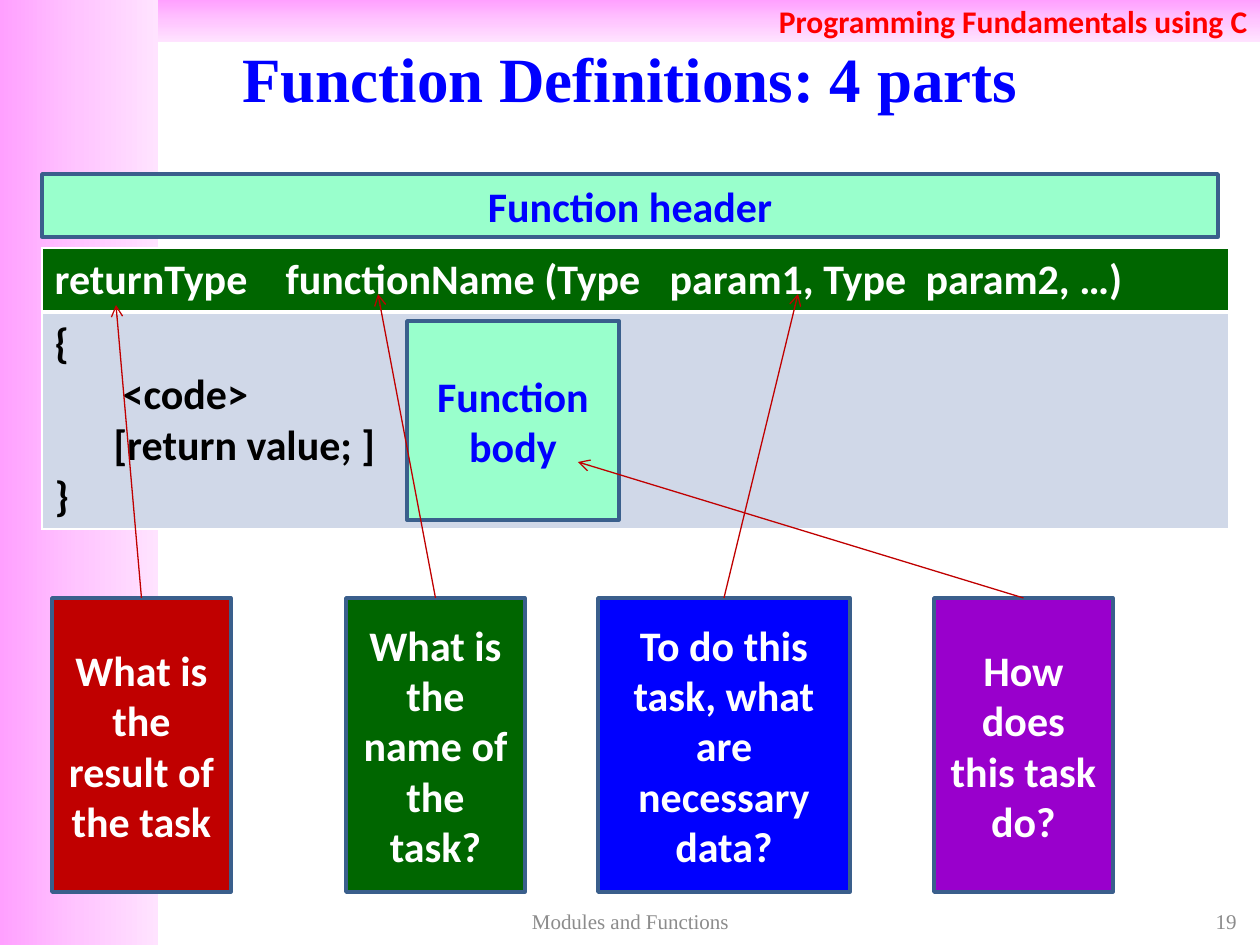
"""Builds the slide that explains the four parts of a function definition."""
from copy import deepcopy
from lxml.etree import SubElement
from pptx import Presentation
from pptx.dml.color import RGBColor
from pptx.enum.shapes import MSO_CONNECTOR, MSO_SHAPE
from pptx.enum.text import MSO_ANCHOR, PP_ALIGN
from pptx.oxml.ns import qn
from pptx.util import Emu, Pt

COLORS = {
    "pink": "FFA0FF", "rose": "FFC5FF", "blush": "FFE3FF",
    "red": "FF0000", "blue": "0000FF", "green": "006600",
    "mint": "99FFCC", "edge": "3A5F8C", "crimson": "C00000",
    "purple": "9900CC", "pale": "D0D8E8", "gray": "8C8C8C",
    "white": "FFFFFF", "black": "000000",
}
SERIF = "Times New Roman"
SANS = "Calibri"
PARTS = [
    (52, 179, "crimson", "What is the result of the task", (116, 305)),
    (346, 179, "green", "What is the name of the task?", (378, 294)),
    (598, 252, "blue", "To do this task, what are necessary data?", (798, 294)),
    (934, 179, "purple", "How does this task do?", (578, 462)),
]
HEAD = "returnType\tfunctionName (Type\tparam1, Type\tparam2, …)"
STOPS = [231, 615, 871]
CODE = [("{", 0), ("<code>", 68), ("[return value; ]", 59), ("}", 0)]


def px(count):
    return Emu(round(count * 914400 / 126))


def rgb(name):
    return RGBColor.from_string(COLORS[name])


def style(para, size, color, font=SANS, bold=True, align=PP_ALIGN.LEFT):
    para.alignment = align
    for run in para.runs:
        run.font.size = Pt(size)
        run.font.name = font
        run.font.bold = bold
        run.font.color.rgb = rgb(color)


def write(shape, text, size, color, **look):
    frame = shape.text_frame
    frame.word_wrap = True
    frame.vertical_anchor = MSO_ANCHOR.MIDDLE
    frame.text = text
    style(frame.paragraphs[0], size, color, **look)


def add_rect(slide, area):
    rect = slide.shapes.add_shape(MSO_SHAPE.RECTANGLE, *map(px, area))
    rect.shadow.inherit = False
    return rect


def add_band(slide, area, angle):
    band = add_rect(slide, area)
    band.line.fill.background()
    band.fill.gradient()
    band.fill.gradient_angle = angle
    first = band._element.spPr.find(".//" + qn("a:gs"))
    first.addnext(deepcopy(first))
    tints = [(0, "pink"), (0.5, "rose"), (1, "blush")]
    for stop, (place, tint) in zip(band.fill.gradient_stops, tints):
        stop.position = place
        stop.color.rgb = rgb(tint)
    return band


def add_box(slide, area, fill, text, color):
    box = add_rect(slide, area)
    box.fill.solid()
    box.fill.fore_color.rgb = rgb(fill)
    box.line.color.rgb = rgb("edge")
    box.line.width = Pt(2)
    write(box, text, 24, color, align=PP_ALIGN.CENTER)
    return box


def add_label(slide, area, text, size, color, **look):
    label = slide.shapes.add_textbox(*map(px, area))
    write(label, text, size, color, **look)


def add_arrow(slide, box, tip):
    arrow = slide.shapes.add_connector(MSO_CONNECTOR.STRAIGHT, 0, 0, *map(px, tip))
    arrow.begin_connect(box, 0)
    arrow.line.color.rgb = rgb("crimson")
    arrow.line.width = Pt(0.75)
    SubElement(arrow.line._get_or_add_ln(), qn("a:tailEnd"), type="arrow")
    SubElement(arrow._element.spPr, qn("a:effectLst"))


def paint(cell, fill, top, bottom):
    props = cell._tc.get_or_add_tcPr()
    for side, width in (("L", 1), ("R", 1), ("T", top), ("B", bottom)):
        line = SubElement(props, qn("a:ln" + side), w=str(Pt(width)))
        solid = SubElement(line, qn("a:solidFill"))
        SubElement(solid, qn("a:srgbClr"), val=COLORS["white"])
    cell.fill.solid()
    cell.fill.fore_color.rgb = rgb(fill)


def add_code(slide):
    table = slide.shapes.add_table(2, 1, *map(px, (42, 248, 1187, 281))).table
    table.rows[0].height = px(64)
    table.rows[1].height = px(217)
    head, body = table.cell(0, 0), table.cell(1, 0)
    paint(head, "green", 1, 3)
    paint(body, "pale", 3, 1)
    head.text_frame.text = HEAD
    para = head.text_frame.paragraphs[0]
    style(para, 24, "white")
    tabs = SubElement(para._p.get_or_add_pPr(), qn("a:tabLst"))
    for stop in STOPS:
        SubElement(tabs, qn("a:tab"), pos=str(px(stop)), algn="l")
    body.text_frame.text = "\n".join(text for text, _ in CODE)
    for para, (_, indent) in zip(body.text_frame.paragraphs, CODE):
        style(para, 24, "black")
        para._p.get_or_add_pPr().set("marL", str(px(indent)))


def main():
    deck = Presentation()
    deck.slide_width, deck.slide_height = px(1260), px(945)
    slide = deck.slides.add_slide(deck.slide_layouts[6])
    add_band(slide, (0, 0, 158, 945), 0)
    banner = add_band(slide, (158, 0, 1102, 42), 270)
    write(banner, "Programming Fundamentals using C", 18, "red", align=PP_ALIGN.RIGHT)
    add_label(slide, (0, 38, 1260, 78), "Function Definitions: 4 parts", 36, "blue",
              font=SERIF, align=PP_ALIGN.CENTER)
    add_code(slide)
    add_box(slide, (407, 321, 212, 199), "mint", "Function body", "blue")
    add_box(slide, (42, 174, 1176, 63), "mint", "Function header", "blue")
    boxes = [add_box(slide, (left, 598, width, 294), fill, text, "white")
             for left, width, fill, text, _ in PARTS]
    for box, part in zip(boxes, PARTS):
        add_arrow(slide, box, part[-1])
    add_label(slide, (955, 904, 294, 34), "19", 12, "gray",
              font=SERIF, bold=False, align=PP_ALIGN.RIGHT)
    add_label(slide, (431, 904, 399, 34), "Modules and Functions", 12, "gray",
              font=SERIF, bold=False, align=PP_ALIGN.CENTER)
    deck.save("out.pptx")


if __name__ == "__main__":
    main()
